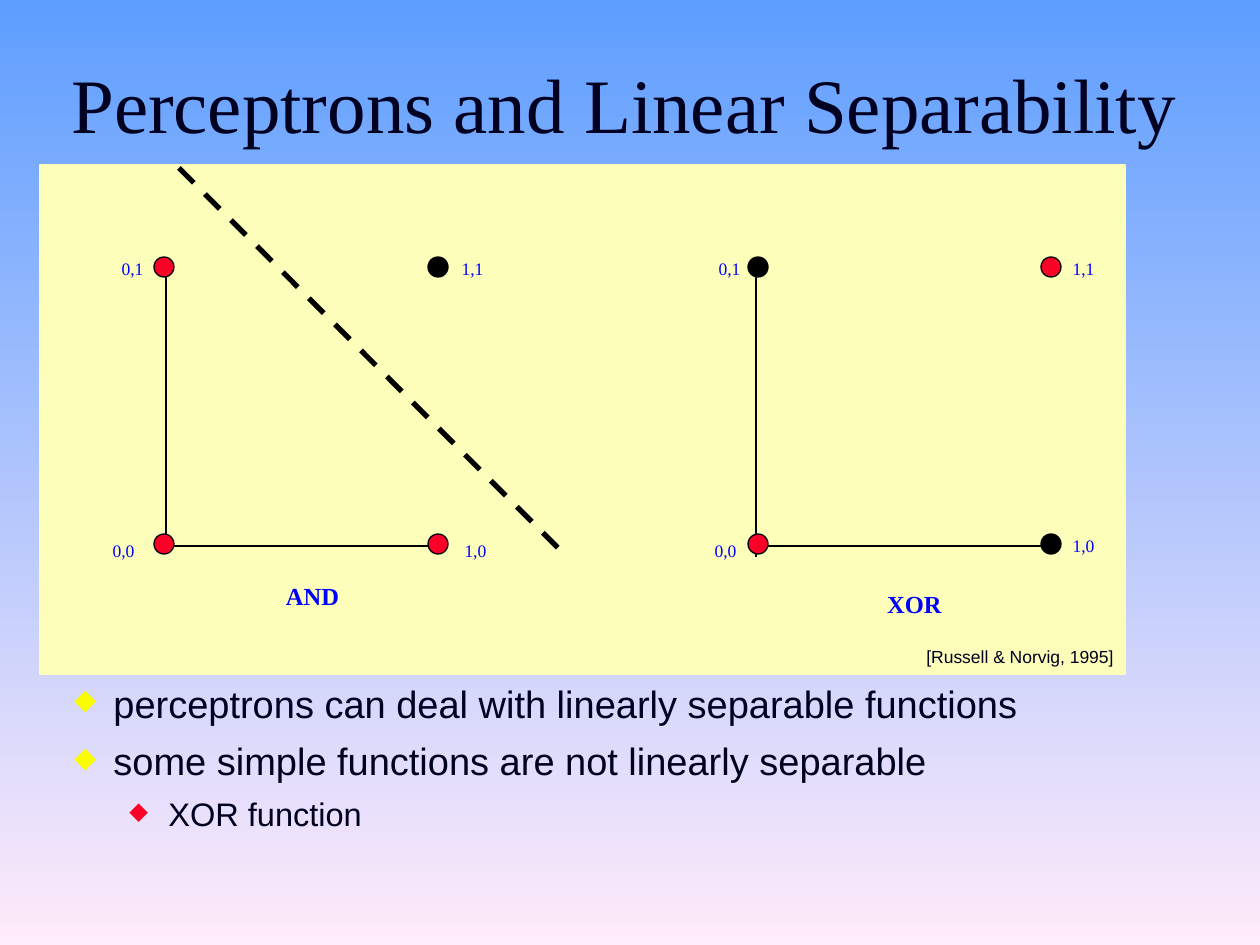
from lxml.etree import SubElement
from pptx import Presentation
from pptx.dml.color import RGBColor
from pptx.enum.dml import MSO_LINE_DASH_STYLE as Dash
from pptx.enum.shapes import MSO_CONNECTOR as Connector, MSO_SHAPE as Shape
from pptx.enum.text import MSO_ANCHOR as Anchor, MSO_AUTO_SIZE as AutoSize, PP_ALIGN as Align
from pptx.oxml.ns import qn
from pptx.util import Emu, Pt

SERIF, SANS = "Times New Roman", "Arial"
INK, BLUE, BLACK, RED, YELLOW, CREAM = "000020", "0000FF", "000000", "FC0128", "FAFD00", "FCFEB9"
SKY, PINK = "5E9EFF", "FFEBFA"

TITLE = "Perceptrons and Linear Separability"
CITATION = "[Russell & Norvig, 1995]"
BULLETS = [  # text, level
    ("perceptrons can deal with linearly separable functions", 0),
    ("some simple functions are not linearly separable", 0),
    ("XOR function", 1),
]
LEVELS = [  # size, space before, left margin in px, bullet colour
    (21.7, 7, 39, YELLOW),
    (18.6, 6, 94, RED),
]
HANGING = 39

DOT = 20
DOT_TOPS = (534, 257)  # for second input 0 and 1
LABEL_SIZE = (101, 59)
NAME_SIZE = (199, 67)
GATES = [
    {
        "name": "AND", "name_at": (213, 575), "dot_lefts": (154, 428),
        "axes": [(166, 261, 166, 543), (433, 546, 166, 546)],
        "true": {(1, 1)},
        "labels": {(0, 0): (73, 534), (0, 1): (82, 252), (1, 0): (425, 534), (1, 1): (422, 252)},
    },
    {
        "name": "XOR", "name_at": (815, 583), "dot_lefts": (748, 1041),
        "axes": [(756, 273, 756, 557), (1050, 546, 756, 546)],
        "true": {(0, 1), (1, 0)},
        "labels": {(0, 0): (675, 534), (0, 1): (679, 252), (1, 0): (1033, 529), (1, 1): (1033, 252)},
    },
]
SEPARATOR = (179, 168, 562, 552)


def px(*lengths):
    return [Emu(round(length * 914400 / 126)) for length in lengths]


def color(hex_code):
    return RGBColor.from_string(hex_code)


def add_span(para, text, size, font, hex_code, bold=False):
    span = para.add_run()
    span.text = text
    span.font.size = Pt(size)
    span.font.name = font
    span.font.bold = bold
    span.font.color.rgb = color(hex_code)


def add_text(page, text, place, size, font, hex_code, align=Align.CENTER, bold=False):
    box = page.shapes.add_textbox(*px(*place))
    box.text_frame.word_wrap = True
    para = box.text_frame.paragraphs[0]
    para.alignment = align
    add_span(para, text, size, font, hex_code, bold)
    return box


def add_figure(page, kind, place, fill, line, width):
    figure = page.shapes.add_shape(kind, *px(*place))
    figure.shadow.inherit = False
    figure.fill.solid()
    figure.fill.fore_color.rgb = color(fill)
    figure.line.color.rgb = color(line)
    figure.line.width = Pt(width)


def add_line(page, ends, width=0.75):
    line = page.shapes.add_connector(Connector.STRAIGHT, *px(*ends))
    line.line.color.rgb = color(BLACK)
    line.line.width = Pt(width)
    SubElement(line._element.spPr, qn("a:effectLst"))
    return line


def set_bullet(para, margin, hex_code):
    properties = para._p.get_or_add_pPr()
    properties.set("marL", str(px(margin)[0]))
    properties.set("indent", str(px(-HANGING)[0]))
    bullet_color = SubElement(properties, qn("a:buClr"))
    SubElement(bullet_color, qn("a:srgbClr"), val=hex_code)
    SubElement(properties, qn("a:buSzPct"), val="75000")
    SubElement(properties, qn("a:buChar"), char="◆")


def paint_background(page):
    fill = page.background.fill
    fill.gradient()
    fill.gradient_angle = 270
    for stop, position, hex_code in zip(fill.gradient_stops, (0, 1), (SKY, PINK)):
        stop.position = position
        stop.color.rgb = color(hex_code)


def add_title(page):
    title = page.shapes.title
    title.left, title.top, title.width, title.height = px(31, 47, 1187, 111)
    frame = title.text_frame
    frame.auto_size = AutoSize.NONE
    frame.vertical_anchor = Anchor.MIDDLE
    para = frame.paragraphs[0]
    para.alignment = Align.CENTER
    add_span(para, TITLE, 44, SERIF, INK)


def add_citation(page):
    box = add_text(page, CITATION, (914, 640, 211, 34), 10, SANS, INK, Align.LEFT)
    frame = box.text_frame
    frame.word_wrap = False
    frame.auto_size = AutoSize.NONE
    frame.margin_right = 0


def add_bullets(page):
    box = page.shapes.add_textbox(*px(62, 674, 1188, 166))
    frame = box.text_frame
    frame.word_wrap = True
    for index, (text, level) in enumerate(BULLETS):
        size, space, margin, hex_code = LEVELS[level]
        para = frame.add_paragraph() if index else frame.paragraphs[0]
        para.level = level
        para.space_before = Pt(space if index else 0)
        set_bullet(para, margin, hex_code)
        add_span(para, text, size, SANS, INK)


def add_gate(page, gate):
    for ends in gate["axes"]:
        add_line(page, ends)
    for inputs, label_at in gate["labels"].items():
        first, second = inputs
        add_text(page, f"{first},{second}", (*label_at, *LABEL_SIZE), 10, SERIF, BLUE)
        dot = (gate["dot_lefts"][first], DOT_TOPS[second], DOT, DOT)
        add_figure(page, Shape.OVAL, dot, BLACK if inputs in gate["true"] else RED, BLACK, 0.75)
    add_text(page, gate["name"], (*gate["name_at"], *NAME_SIZE), 14, SERIF, BLUE, bold=True)


def main():
    deck = Presentation()
    deck.slide_width, deck.slide_height = px(1260, 945)
    page = deck.slides.add_slide(deck.slide_layouts[5])
    paint_background(page)
    add_title(page)
    add_figure(page, Shape.RECTANGLE, (40, 165, 1085, 509), CREAM, CREAM, 1)
    add_citation(page)
    add_bullets(page)
    for gate in GATES:
        add_gate(page, gate)
    add_line(page, SEPARATOR, 3).line.dash_style = Dash.DASH
    deck.save("out.pptx")


if __name__ == "__main__":
    main()
